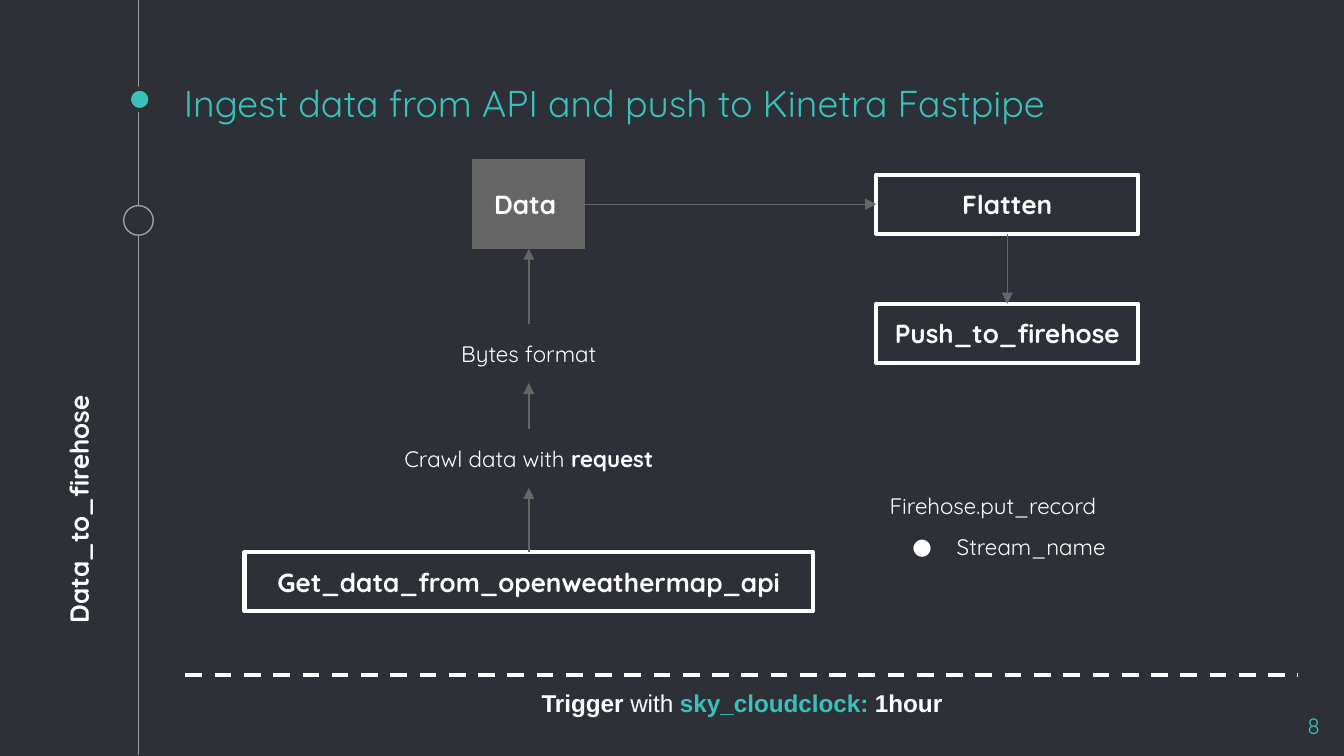
import pptx
import pptx.util
import pptx.dml.color
import pptx.enum.dml
import pptx.enum.shapes
import pptx.enum.text
import pptx.oxml
import pptx.oxml.ns

Inches, Pt = pptx.util.Inches, pptx.util.Pt
SHAPES = pptx.enum.shapes.MSO_SHAPE
ANCHOR = pptx.enum.text.MSO_ANCHOR
ALIGN = pptx.enum.text.PP_ALIGN

DARK, TEAL, WHITE, GRAY, SILVER = "2E3037", "39C0BA", "FFFFFF", "666666", "999FA9"
FONT = "Quicksand"

# Content: a run is (text, format values that differ from the box)
TITLE = [("Ingest data from API and push to Kinetra Fastpipe", {}), (" ", {"size": 24})]
SIDE_LABEL = [("Data_to_firehose", {})]
PAGE_NUMBER = [("8", {})]
TRIGGER = [("Trigger ", {"bold": True}), ("with ", {}),
           ("sky_cloudclock: ", {"bold": True, "color": TEAL}),
           ("1hour", {"bold": True})]
RECORD_CALL = [("Firehose.put_record", {})]
RECORD_ARGUMENT = [("Stream_name", {})]

# name: (left, top, width, height, fill, line, line width, text)
STEPS = {
    "get": (1.82, 4.11, 4.23, 0.44, None, WHITE, 2.25, "Get_data_from_openweathermap_api"),
    "push": (6.52, 2.26, 1.95, 0.44, None, WHITE, 2.25, "Push_to_firehose"),
    "data": (3.52, 1.19, 0.83, 0.66, GRAY, GRAY, 0.75, "Data "),
    "flatten": (6.52, 1.3, 1.95, 0.44, None, WHITE, 2.25, "Flatten"),
}
# name: (top, runs)
CAPTIONS = {
    "crawl": (3.19, [("Crawl data with ", {}), ("request", {"bold": True})]),
    "bytes": (2.41, [("Bytes format", {})]),
}
TOP, LEFT, BOTTOM, RIGHT = range(4)
ARROWS = [("get", TOP, "crawl", BOTTOM), ("crawl", TOP, "bytes", BOTTOM),
          ("bytes", TOP, "data", BOTTOM), ("data", RIGHT, "flatten", LEFT),
          ("flatten", BOTTOM, "push", TOP)]
# Timeline dots: (left, top, diameter, fill, line, line width)
DOTS = [(0.96, 0.66, 0.16, TEAL, DARK, 2.25), (0.92, 1.53, 0.22, DARK, SILVER, 0.75)]


def rgb(color):
    return pptx.dml.color.RGBColor.from_string(color)


def add_xml(parent, tag, **attributes):
    child = pptx.oxml.parse_xml(f"<a:{tag} {pptx.oxml.ns.nsdecls('a')}/>")
    for key, value in attributes.items():
        child.set(key, value)
    parent.append(child)
    return child


def write(paragraph, runs, size, color=WHITE, font=FONT, align=ALIGN.CENTER,
          bold=False, spacing=None):
    for key, value in {"alignment": align, "line_spacing": spacing}.items():
        setattr(paragraph, key, value)
    for text, changes in runs:
        run = paragraph.add_run()
        run.text = text
        for key, value in {"name": font, "size": Pt(changes.get("size", size)),
                           "bold": changes.get("bold", bold)}.items():
            setattr(run.font, key, value)
        run.font.color.rgb = rgb(changes.get("color", color))


def set_frame(shape, anchor=ANCHOR.MIDDLE):
    frame = shape.text_frame
    values = {"word_wrap": True, "vertical_anchor": anchor}
    for side in ("left", "top", "right", "bottom"):
        values["margin_" + side] = Inches(0.1)
    for key, value in values.items():
        setattr(frame, key, value)
    return frame


def add_text(box, runs, size, anchor=ANCHOR.MIDDLE, **style):
    text_box = slide.shapes.add_textbox(*map(Inches, box))
    write(set_frame(text_box, anchor).paragraphs[0], runs, size, **style)
    return text_box


def add_shape(kind, box, fill, line, width):
    shape = slide.shapes.add_shape(kind, *map(Inches, box))
    shape.shadow.inherit = False
    if fill:
        shape.fill.solid()
        shape.fill.fore_color.rgb = rgb(fill)
    else:
        shape.fill.background()
    shape.line.color.rgb = rgb(line)
    shape.line.width = Pt(width)
    return shape


def add_line(points, color, width):
    line = slide.shapes.add_connector(pptx.enum.shapes.MSO_CONNECTOR.STRAIGHT,
                                      *map(Inches, points))
    line.line.color.rgb = rgb(color)
    line.line.width = Pt(width)
    add_xml(line._element.spPr, "effectLst")
    return line


# Widescreen slide, 16:9
presentation = pptx.Presentation()
presentation.slide_width = Inches(10)
presentation.slide_height = Inches(10) * 9 // 16
slide = presentation.slides.add_slide(presentation.slide_layouts[6])
slide.background.fill.solid()
slide.background.fill.fore_color.rgb = rgb(DARK)

# Timeline on the left
add_line((1.03, 0, 1.03, 5.62), SILVER, 0.75)
for left, top, diameter, *look in DOTS:
    add_shape(SHAPES.OVAL, (left, top, diameter, diameter), *look)

# Title, page number and side label
add_text((1.27, 0.66, 7.5, 0.38), TITLE, 20, ANCHOR.BOTTOM, color=TEAL, align=ALIGN.LEFT)
add_text((9.32, 5.2, 0.6, 0.34), PAGE_NUMBER, 12, ANCHOR.TOP, color=TEAL, align=ALIGN.RIGHT)
side_label = add_text((-0.86, 3.57, 2.77, 0.44), SIDE_LABEL, 14, bold=True, spacing=1.5)
side_label.rotation = 270

# Steps and the captions between them
nodes = {}
for name, (left, top, width, height, fill, line, line_width, text) in STEPS.items():
    step = add_shape(SHAPES.RECTANGLE, (left, top, width, height), fill, line, line_width)
    write(set_frame(step).paragraphs[0], [(text, {})], 14, bold=True)
    nodes[name] = step
for name, (top, runs) in CAPTIONS.items():
    nodes[name] = add_text((2.41, top, 3.05, 0.44), runs, 12)

# Arrows glued to the steps
for start, start_side, end, end_side in ARROWS:
    arrow = add_line((0, 0, 0, 0), GRAY, 0.75)
    arrow.begin_connect(nodes[start], start_side)
    arrow.end_connect(nodes[end], end_side)
    add_xml(arrow.line._get_or_add_ln(), "tailEnd", type="triangle")

# Record call with its bulleted argument
record = add_text((6.52, 3.53, 1.95, 0.67), RECORD_CALL, 12, align=ALIGN.LEFT, spacing=1.5)
argument = record.text_frame.add_paragraph()
write(argument, RECORD_ARGUMENT, 12, align=ALIGN.LEFT, spacing=1.5)
properties = argument._p.get_or_add_pPr()
properties.set("marL", str(Inches(0.5)))
properties.set("indent", str(Inches(-0.33)))
add_xml(add_xml(properties, "buClr"), "srgbClr", val=WHITE)
add_xml(properties, "buFont", typeface=FONT)
add_xml(properties, "buChar", char="●")

# Trigger below the dashed line
divider = add_line((1.38, 5.02, 9.66, 5.02), WHITE, 2.25)
divider.line.dash_style = pptx.enum.dml.MSO_LINE.DASH
add_text((3.6, 5.02, 3.84, 0.42), TRIGGER, 13, font="Arial")

presentation.save("out.pptx")
